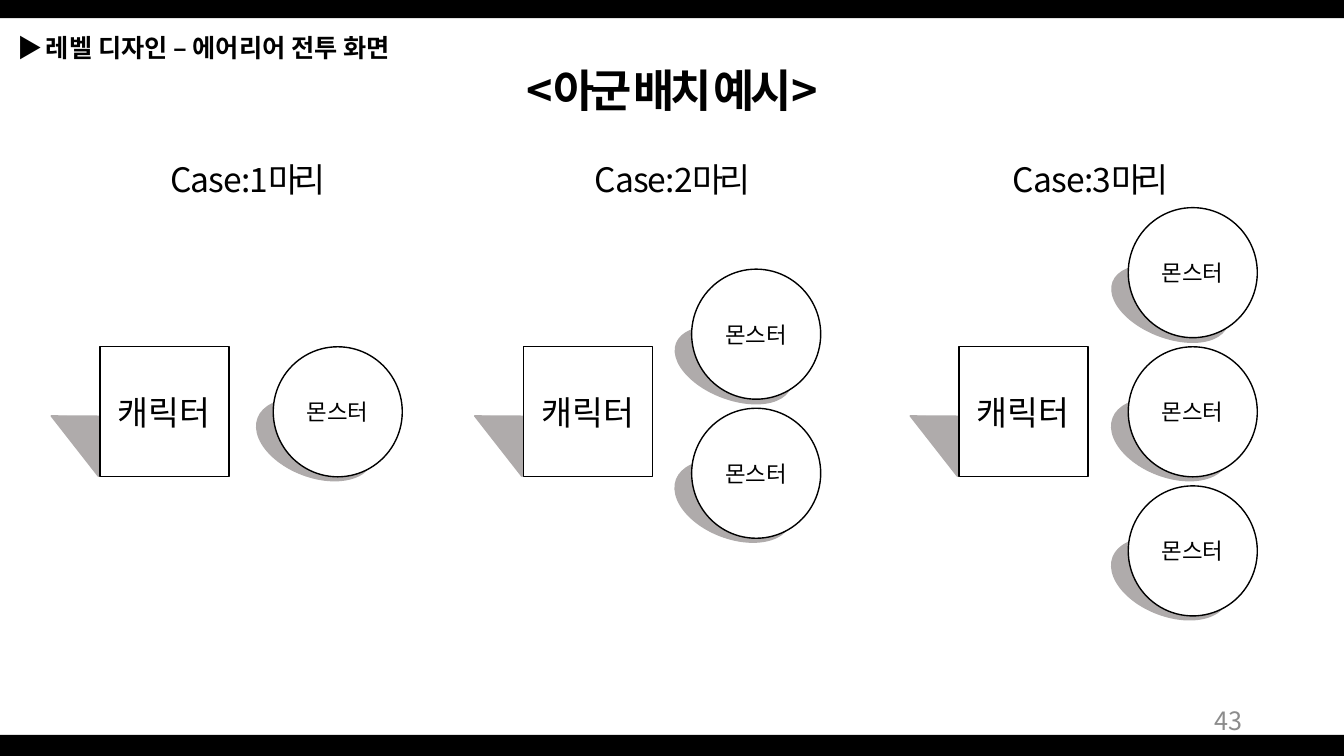
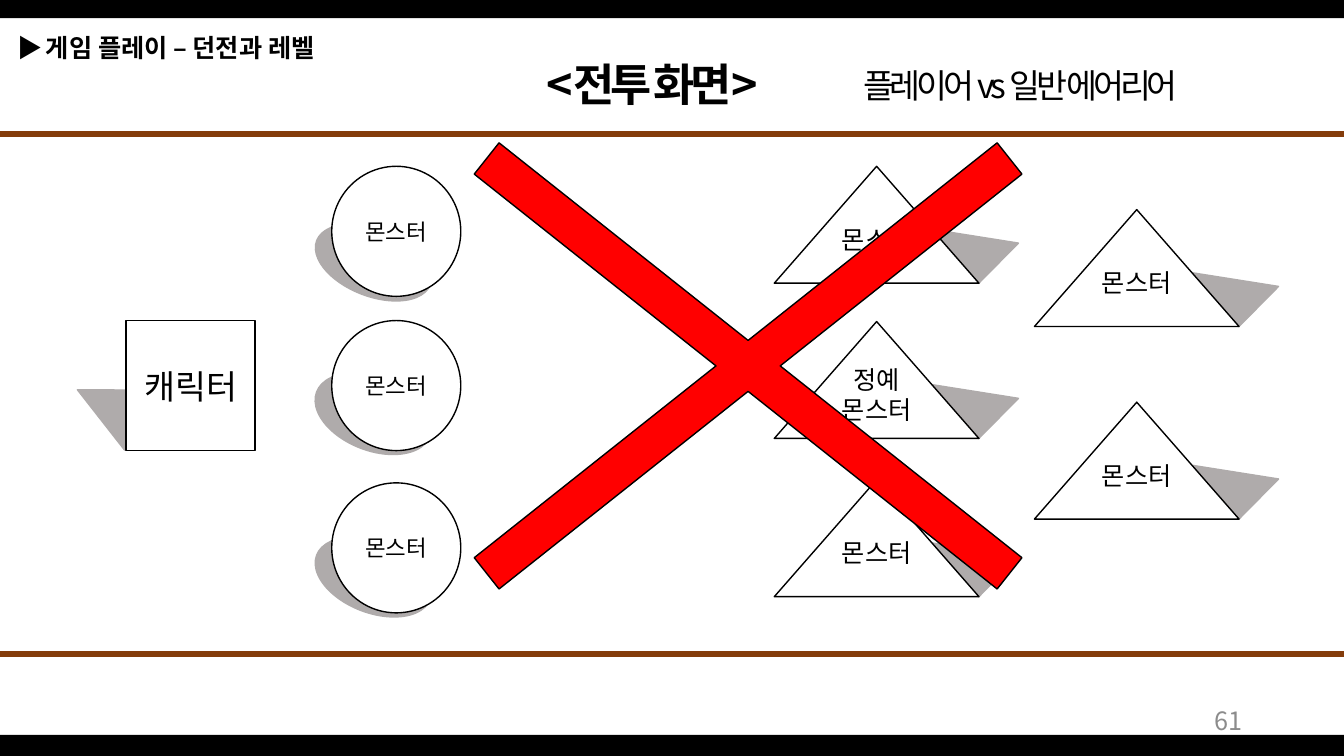
from pptx import Presentation
from pptx.dml.color import RGBColor
from pptx.enum.shapes import MSO_CONNECTOR, MSO_SHAPE
from pptx.enum.text import MSO_ANCHOR, MSO_AUTO_SIZE, PP_ALIGN
from pptx.oxml.ns import qn
from pptx.util import Inches, Pt
from lxml.etree import SubElement

FONT = "Noto Sans CJK KR"
COLORS = {
    "black": "000000", "white": "FFFFFF", "shade": "AFABAB",
    "number": "8C8C8C", "rule": "843C0B", "cross": "FF0000",
}
WIDTH, HEIGHT = 13.33, 7.5
SIDE = 1.28  # width of squares and circles
TALL = 1.29  # height of squares and circles
STEP = 1.38  # pitch of stacked circles


def color(name):
    return RGBColor.from_string(COLORS[name])


def style(run, size, tone="black", bold=False, gap=0):
    """Format one run; gap is the letter spacing in points."""
    font = run.font
    font.size, font.bold, font.name = Pt(size), bold, FONT
    font.color.rgb = color(tone)
    props = run.font._element
    SubElement(props, qn("a:ea")).set("typeface", FONT)
    if gap:
        props.set("spc", str(int(gap * 100)))


def write(frame, text, size, align=PP_ALIGN.CENTER, **look):
    frame.text = text
    for para in frame.paragraphs:
        para.alignment = align
        for run in para.runs:
            style(run, size, **look)


def label(slide, box, text, size, **look):
    frame = slide.shapes.add_textbox(*map(Inches, box)).text_frame
    frame.word_wrap = True
    write(frame, text, size, **look)
    return frame


def shape(slide, kind, box, fill, line=None, turn=0, adj=None):
    item = slide.shapes.add_shape(kind, *map(Inches, box))
    item.shadow.inherit = False
    item.rotation = turn
    item.fill.solid()
    item.fill.fore_color.rgb = color(fill)
    if line:
        item.line.color.rgb = color(line)
        item.line.width = Pt(1)
    else:
        item.line.fill.background()
    if adj is not None:
        item.adjustments[0] = adj
    return item


def token(slide, kind, box, text, size):
    """White outlined figure with a centred name."""
    frame = shape(slide, kind, box, "white", "black").text_frame
    frame.vertical_anchor = MSO_ANCHOR.MIDDLE
    write(frame, text, size)
    return frame


def shade(slide, kind, box, turn, adj=None):
    shape(slide, kind, box, "shade", "shade", turn, adj)


def hero(slide, x, y):
    shade(slide, MSO_SHAPE.ISOSCELES_TRIANGLE, (x - 0.35, y + 0.31, 0.96, 0.76), 322, 0)
    token(slide, MSO_SHAPE.RECTANGLE, (x, y, SIDE, TALL), "캐릭터", 24)


def ally(slide, x, y, depth=0.73):
    shade(slide, MSO_SHAPE.OVAL, (x - 0.19, y + TALL - depth, 1.21, depth), 21.1)
    token(slide, MSO_SHAPE.OVAL, (x, y, SIDE, TALL), "몬스터", 16)


def enemy(slide, x, y, text="몬스터"):
    kind = MSO_SHAPE.ISOSCELES_TRIANGLE
    shade(slide, kind, (x + 1.65, y + 0.43, 0.71, 0.56), 49, 0.94)
    frame = token(slide, kind, (x, y, 2.03, 1.16), text, 18)
    frame.margin_bottom = Inches(0.34)


def rule(slide, y):
    line = slide.shapes.add_connector(
        MSO_CONNECTOR.STRAIGHT, 0, Inches(y), Inches(WIDTH), Inches(y))
    line.line.color.rgb = color("rule")
    line.line.width = Pt(4.5)
    SubElement(line._element.spPr, qn("a:effectLst"))


def page(deck, topic, title, box, number):
    """Slide with the shared bands, topic, title and number."""
    slide = deck.slides.add_slide(deck.slide_layouts[5])
    head = slide.shapes.title
    head.left, head.top, head.width, head.height = map(Inches, box)
    frame = head.text_frame
    frame.auto_size = MSO_AUTO_SIZE.NONE
    frame.vertical_anchor = MSO_ANCHOR.TOP
    write(frame, title, 32, bold=True, gap=-3)

    for top, tall in ((0, 0.18), (7.29, 0.21)):
        shape(slide, MSO_SHAPE.RECTANGLE, (0, top, WIDTH, tall), "black")

    mark = label(slide, (0.08, 0.27, 4.7, 0.4), "▶ ", 18,
                 align=PP_ALIGN.LEFT, gap=-2)
    run = mark.paragraphs[0].add_run()
    run.text = topic
    style(run, 18, bold=True)

    foot = label(slide, (9.42, 6.95, 3, 0.4), number, 18,
                 align=PP_ALIGN.RIGHT, tone="number")
    foot.vertical_anchor = MSO_ANCHOR.MIDDLE
    return slide


def allies(deck):
    slide = page(deck, "레벨 디자인 – 에어리어 전투 화면", "<아군 배치 예시>",
                 (4.49, 0.57, 4.36, 0.64), "43")
    # Per case: label left, square left, circle left, first circle top
    cases = ((0.61, 0.99, 2.71, 3.44),
             (4.82, 5.19, 6.86, 2.67),
             (8.97, 9.51, 11.19, 2.06))
    for count, (left, square, circle, top) in enumerate(cases, 1):
        label(slide, (left, 1.53, 3.7, 0.5), f"C a s e : {count}마리", 24, gap=-3)
        hero(slide, square, 3.44)
        for i in range(count):
            depth = 0.67 if count > 1 and i == 0 else 0.73
            ally(slide, circle, top + i * STEP, depth)


def battle(deck):
    slide = page(deck, "게임 플레이 – 던전과 레벨", "<전투 화면>",
                 (4.78, 0.51, 3.38, 0.64), "61")
    label(slide, (8.27, 0.59, 3.7, 0.5), "플레이어 vs 일반 에어리어", 24, gap=-3)
    for y in (1.33, 6.49):
        rule(slide, y)

    # Player side
    hero(slide, 1.25, 3.18)
    for y, depth in ((1.65, 0.67), (3.18, 0.73), (4.79, 0.71)):
        ally(slide, 3.29, y, depth)

    # Enemy side
    enemy(slide, 7.68, 1.65)
    enemy(slide, 7.68, 3.19, "정예\n몬스터")
    enemy(slide, 7.68, 4.76)
    for y in (2.08, 3.99):
        enemy(slide, 10.26, y)

    # Cross over the field
    shape(slide, MSO_SHAPE.MATH_MULTIPLY, (2.43, -0.33, 9.98, 7.92),
          "cross", "black", adj=0.05)


def main():
    deck = Presentation()
    deck.slide_width, deck.slide_height = Inches(WIDTH), Inches(HEIGHT)
    allies(deck)
    battle(deck)
    deck.save("out.pptx")


if __name__ == "__main__":
    main()
